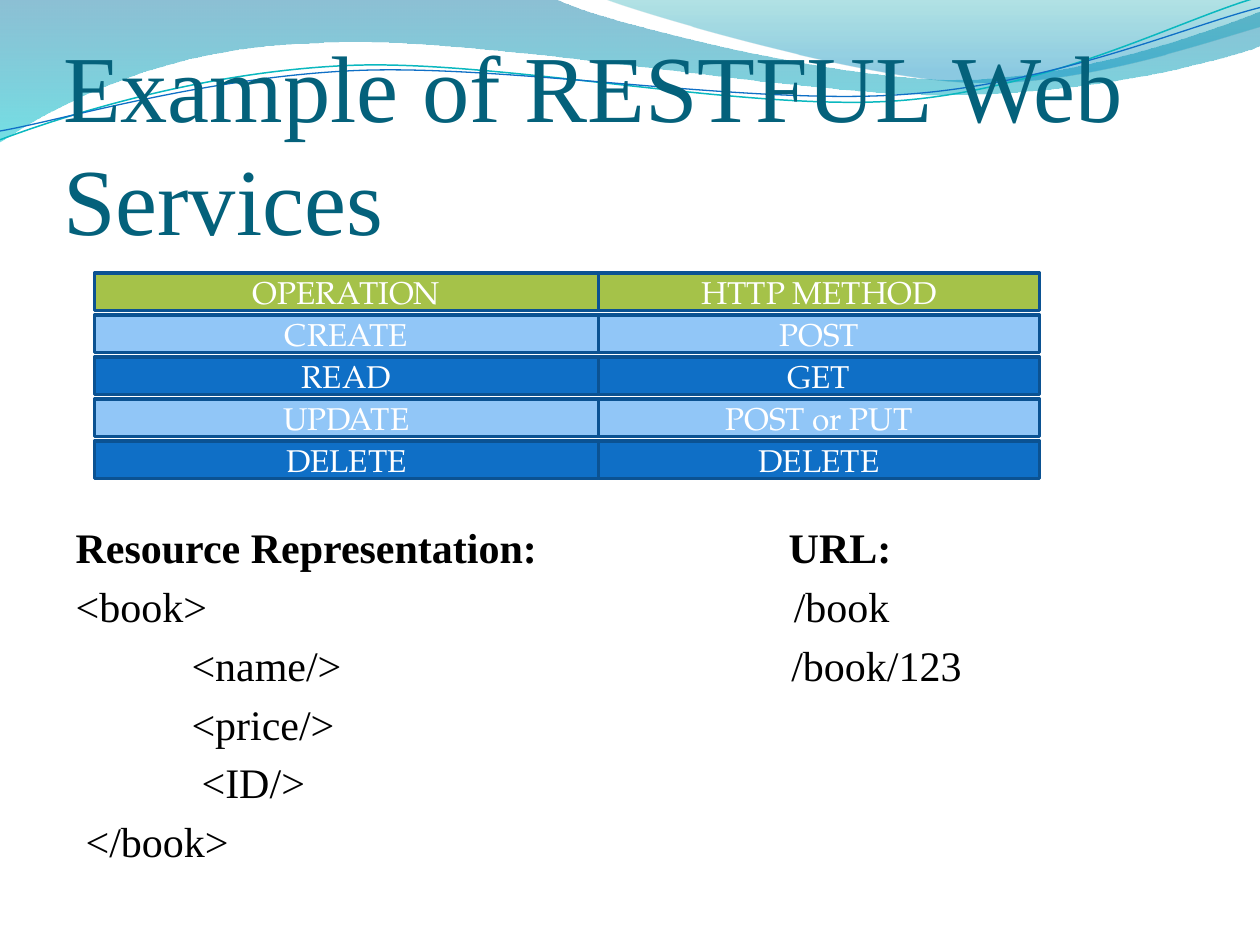
from dataclasses import dataclass
from lxml import etree
from pptx import Presentation
from pptx import util as u
from pptx.dml.color import RGBColor
from pptx.enum import shapes, text
from pptx.oxml.ns import qn


@dataclass(frozen=True)
class Theme:
    title: str = "04617B"
    ink: str = "000000"
    white: str = "FFFFFF"
    head: str = "A5C249"
    light: str = "91C6F7"
    dark: str = "0F6FC6"
    edge: str = "0B5292"
    teal: str = "0AB8BF"
    serif: str = "Times New Roman"
    cell: str = "TeX Gyre Pagella"
    big: int = 54
    mid: int = 24
    small: int = 18


class Deck:
    COLS, ROWS = 40, 30

    def __init__(self, theme):
        self.theme = theme
        self.prs = Presentation()
        self.prs.slide_width, self.prs.slide_height = u.Inches(10), u.Inches(7.5)
        self.slide = self.prs.slides.add_slide(self.prs.slide_layouts[3])
        self.tree = self.slide.shapes

    def box(self, col, row, wide, high):
        dx = self.prs.slide_width / self.COLS
        dy = self.prs.slide_height / self.ROWS
        return [round(v) for v in (col * dx, row * dy, wide * dx, high * dy)]

    def style(self, para, size, color, font, bold=False):
        for run in para.runs:
            run.font.size, run.font.name, run.font.bold = u.Pt(size), font, bold
            run.font.color.rgb = RGBColor.from_string(color)

    def place(self, holder, area):
        """Move a placeholder to its area, in front of what is drawn so far."""
        holder.left, holder.top, holder.width, holder.height = self.box(*area)
        holder._element.getparent().append(holder._element)
        frame = holder.text_frame
        frame.word_wrap, frame.auto_size = True, text.MSO_AUTO_SIZE.NONE
        return frame

    def title(self, words, area):
        frame = self.place(self.tree.title, area)
        frame.margin_left = frame.margin_right = frame.margin_bottom = 0
        frame.vertical_anchor = text.MSO_ANCHOR.BOTTOM
        frame.text = words
        para = frame.paragraphs[0]
        para.alignment = text.PP_ALIGN.LEFT
        self.style(para, self.theme.big, self.theme.title, self.theme.serif)

    def body(self, spot, lines, area):
        """Each line is its text and its indent in inches; the first is bold."""
        frame = self.place(self.slide.placeholders[spot], area)
        frame.vertical_anchor = text.MSO_ANCHOR.TOP
        frame.text = "\n".join(words for words, _ in lines)
        for num, (para, (_, indent)) in enumerate(zip(frame.paragraphs, lines)):
            para.space_before, para.space_after = u.Pt(0), u.Pt(4.8)
            self.style(para, self.theme.mid, self.theme.ink, self.theme.serif, num == 0)
            props = para._p.get_or_add_pPr()
            props.set("marL", str(u.Inches(indent)))
            props.set("indent", "0")
            etree.SubElement(props, qn("a:buNone"))

    def cell(self, words, fill, area):
        rect = self.tree.add_shape(shapes.MSO_SHAPE.RECTANGLE, *self.box(*area))
        rect.shadow.inherit = False
        rect.fill.solid()
        rect.fill.fore_color.rgb = RGBColor.from_string(fill)
        rect.line.color.rgb = RGBColor.from_string(self.theme.edge)
        rect.line.width = u.Pt(2)
        frame = rect.text_frame
        frame.text = words
        frame.vertical_anchor = text.MSO_ANCHOR.MIDDLE
        para = frame.paragraphs[0]
        para.alignment = text.PP_ALIGN.CENTER
        self.style(para, self.theme.small, self.theme.white, self.theme.cell)

    def curve(self, start, parts, close):
        """Trace straight (2 numbers) and cubic (6 numbers) parts, in tenths of the width."""
        fine = 1000
        pen = self.tree.build_freeform(*(round(v * fine) for v in start),
                                       scale=self.prs.slide_width / 10 / fine)
        for part in parts:
            dots = [round(v * fine) for v in part]
            pen.add_line_segments(list(zip(dots[::2], dots[1::2])), close=False)
        shape = pen.convert_to_shape()
        shape.shadow.inherit = False
        # Join each three points of a cubic part into one curve
        trace = next(shape._element.iter(qn("a:path")))
        steps = iter(trace.findall(qn("a:lnTo")))
        for part in parts:
            group = [next(steps) for _ in range(len(part) // 2)]
            if len(group) == 3:
                bend = etree.Element(qn("a:cubicBezTo"))
                group[0].addprevious(bend)
                for step in group:
                    bend.append(step[0])
                    trace.remove(step)
        if close:
            etree.SubElement(trace, qn("a:close"))
        return shape

    def wave(self, start, parts, stops):
        """Each stop is place, colour and opacity in percent."""
        shape = self.curve(start, parts, True)
        shape.line.fill.background()
        shape.fill.gradient()
        shape.fill.gradient_angle = 270
        marks = shape._element.iter(qn("a:gs"))
        for stop, mark, (pos, color, alpha) in zip(shape.fill.gradient_stops, marks, stops):
            stop.position = pos / 100
            stop.color.rgb = RGBColor.from_string(color)
            etree.SubElement(mark[0], qn("a:alpha"), val=str(alpha * 1000))

    def strand(self, start, parts, color, width):
        shape = self.curve(start, parts, False)
        shape.fill.background()
        shape.line.color.rgb = RGBColor.from_string(color)
        shape.line.width = u.Pt(width)


theme = Theme()
deck = Deck(theme)

# Waves along the top edge
deck.wave((0, 0), [
    (4.4, -0.01), (4.76, 0.17, 6.64, 0.63, 7.58, 0.63), (8.53, 0.63, 9.58, 0.26, 10, 0.09),
    (10.01, 0.36), (9.83, 0.44, 8.7, 0.76, 7.46, 0.75), (6.22, 0.75, 3.82, 0.28, 2.57, 0.34),
    (1.29, 0.36, 0.46, 0.83, -0.01, 1.13)],
    [(0, "0074A1", 45), (100, "00C6CF", 55)])
deck.wave((4.79, -0.01), [
    (5.09, 0.11, 6.82, 0.62, 7.69, 0.65), (8.56, 0.69, 9.61, 0.32, 10, 0.21), (10, 0)],
    [(0, "00A1A9", 30), (80, "008BBF", 45)])
deck.strand((0, 1.11), [
    (0.48, 0.93, 1.58, 0.57, 2.77, 0.52), (3.95, 0.47, 5.93, 0.89, 7.13, 0.8),
    (8.33, 0.71, 9.38, 0.15, 9.98, -0.02)], theme.teal, 0.85)
deck.strand((0, 1.04), [
    (0.47, 0.96, 1.64, 0.61, 2.83, 0.56), (4.03, 0.51, 5.97, 0.84, 7.17, 0.75),
    (8.36, 0.67, 9.41, 0.21, 10, 0.06)], theme.dark, 0.75)

# Title, resource listing and its addresses
deck.title("Example of RESTFUL Web Services", (2, 3.08, 36, 5))
deck.body(1, [("Resource Representation:", 0), ("<book>", 0), ("<name/>", 0.92),
              ("<price/>", 0.92), ("<ID/>", 1), ("</book>", 0.08)], (2, 16.36, 22, 11.32))
deck.body(2, [("URL:", 0), ("/book", 0.04), ("/book/123", 0.02)], (24.64, 16.36, 13.36, 11.32))

# Operations and their methods, in separate bars
ops = [("OPERATION", "HTTP METHOD"), ("CREATE", "POST"), ("READ", "GET"),
       ("UPDATE", "POST or PUT"), ("DELETE", "DELETE")]
for row, pair in enumerate(ops):
    fill = theme.head if row == 0 else (theme.dark, theme.light)[row % 2]
    for words, col, wide in zip(pair, (3, 19), (16, 14)):
        deck.cell(words, fill, (col, (26 + row * 4) / 3, wide, 1.2))

deck.prs.save("out.pptx")
